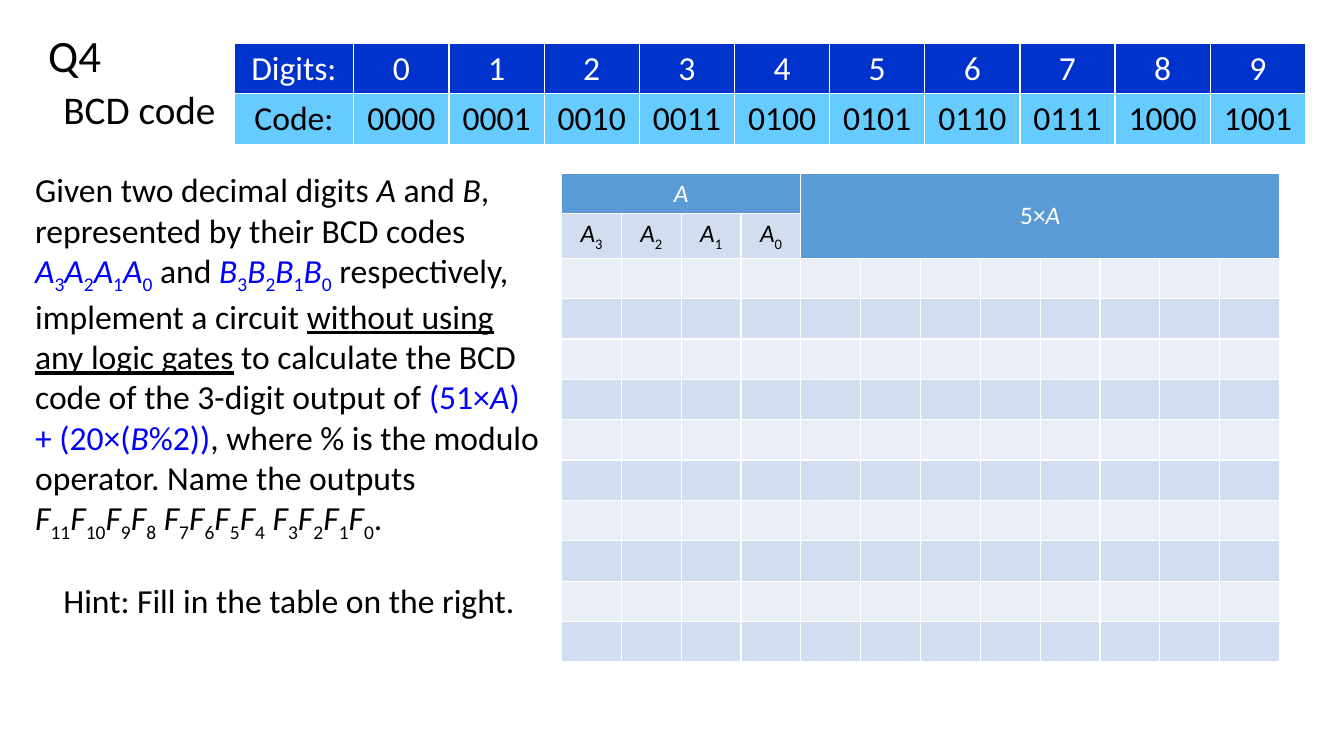
from pptx import Presentation
from pptx.dml.color import RGBColor
from pptx.enum.text import MSO_ANCHOR, PP_ALIGN
from pptx.util import Inches, Pt

BLACK, WHITE, BLUE = "000000", "FFFFFF", "0000FF"
DIGIT_FILL, CODE_FILL = "0033CC", "66CCFF"
HEADER_FILL, DARK_BAND, LIGHT_BAND = "5B9BD5", "D2DEEF", "EAEFF7"


def color(value):
    """Turn a hex string into a colour."""
    return RGBColor.from_string(value)


def add_span(para, text, size=24, fill=BLACK, italic=False, underline=False, sub=False):
    """Append one formatted span to a paragraph."""
    span = para.add_run()
    span.text = text
    font = span.font
    font.name, font.size, font.bold = "Calibri", Pt(size), False
    font.italic, font.underline = italic, underline
    font.color.rgb = color(fill)
    if sub:
        font._element.set("baseline", "-25000")


def add_indexed(para, letter, indices, **style):
    """Write an italic letter with a subscript for each index."""
    for index in indices:
        add_span(para, letter, italic=True, **style)
        add_span(para, str(index), sub=True, **style)


def add_box(page, left, top, width, height, anchor=MSO_ANCHOR.TOP):
    """Add a wrapping text box and return its paragraph."""
    box = page.shapes.add_textbox(Inches(left), Inches(top), Inches(width), Inches(height))
    box.text_frame.word_wrap = True
    box.text_frame.vertical_anchor = anchor
    return box.text_frame.paragraphs[0]


def add_grid(page, left, top, widths, height, fills):
    """Add a table with one fill colour per row."""
    frame = page.shapes.add_table(
        len(fills), len(widths), Inches(left), Inches(top),
        Inches(sum(widths)), Inches(height * len(fills)))
    grid = frame.table
    for column, width in zip(grid.columns, widths):
        column.width = Inches(width)
    for row, fill in zip(grid.rows, fills):
        for cell in row.cells:
            cell.fill.solid()
            cell.fill.fore_color.rgb = color(fill)
    return grid


def centre(cell):
    """Return the centred paragraph of a cell."""
    para = cell.text_frame.paragraphs[0]
    para.alignment = PP_ALIGN.CENTER
    return para


def add_code_table(page):
    """Add the table of digits and their BCD codes."""
    widths = [1.19] + [0.944] * 10
    grid = add_grid(page, 2.32, 0.43, widths, 0.5, [DIGIT_FILL, CODE_FILL])
    digits = ["Digits:"] + [str(digit) for digit in range(10)]
    codes = ["Code:"] + [f"{digit:04b}" for digit in range(10)]
    for column, (digit, code) in enumerate(zip(digits, codes)):
        add_span(centre(grid.cell(0, column)), digit, fill=WHITE)
        add_span(centre(grid.cell(1, column)), code)


def add_truth_table(page):
    """Add the table to be filled in for 5×A."""
    fills = [HEADER_FILL, DARK_BAND] + [LIGHT_BAND, DARK_BAND] * 5
    grid = add_grid(page, 5.57, 1.72, [7.12 / 12] * 12, 0.4, fills)
    for row in grid.rows:
        for cell in row.cells:
            cell.text_frame.paragraphs[0].font.size = Pt(18)
    grid.cell(0, 0).merge(grid.cell(0, 3))
    product = grid.cell(0, 4)
    product.merge(grid.cell(1, 11))
    product.vertical_anchor = MSO_ANCHOR.MIDDLE
    add_span(centre(grid.cell(0, 0)), "A", size=18, fill=WHITE, italic=True)
    para = centre(product)
    add_span(para, "5×", size=18, fill=WHITE)
    add_span(para, "A", size=18, fill=WHITE, italic=True)
    for column in range(4):
        add_indexed(centre(grid.cell(1, column)), "A", [3 - column], size=18)


def add_question(page):
    """Add the wording of the question."""
    para = add_box(page, 0.25, 1.63, 5.22, 3.74)
    add_span(para, "Given two decimal digits ")
    add_span(para, "A", italic=True)
    add_span(para, " and ")
    add_span(para, "B", italic=True)
    add_span(para, ", represented by their BCD codes ")
    add_indexed(para, "A", range(3, -1, -1), fill=BLUE)
    add_span(para, " and ")
    add_indexed(para, "B", range(3, -1, -1), fill=BLUE)
    add_span(para, " respectively, implement a circuit ")
    add_span(para, "without using any logic gates", underline=True)
    add_span(para, " to calculate the BCD code of the 3-digit output of ")
    add_span(para, "(51×", fill=BLUE)
    add_span(para, "A", fill=BLUE, italic=True)
    add_span(para, ") + (20×(", fill=BLUE)
    add_span(para, "B", fill=BLUE, italic=True)
    add_span(para, "%2))", fill=BLUE)
    add_span(para, ", where % is the modulo operator. Name the outputs ")
    for high, ending in ((11, " "), (7, " "), (3, ".")):
        add_indexed(para, "F", range(high, high - 4, -1))
        add_span(para, ending)


def main():
    """Build the slide and save it."""
    deck = Presentation()
    deck.slide_width, deck.slide_height = Inches(13.33), Inches(7.5)
    page = deck.slides.add_slide(deck.slide_layouts[6])
    add_span(add_box(page, 0.53, 0.8, 1.88, 0.57), "BCD code", size=28)
    heading = add_box(page, 0.38, 0.26, 0.99, 0.63, MSO_ANCHOR.MIDDLE)
    heading.line_spacing = 0.9
    add_span(heading, "Q4", size=32)
    add_code_table(page)
    add_question(page)
    add_truth_table(page)
    add_span(add_box(page, 0.53, 5.7, 4.82, 0.5), "Hint: Fill in the table on the right.")
    deck.save("out.pptx")


if __name__ == "__main__":
    main()
